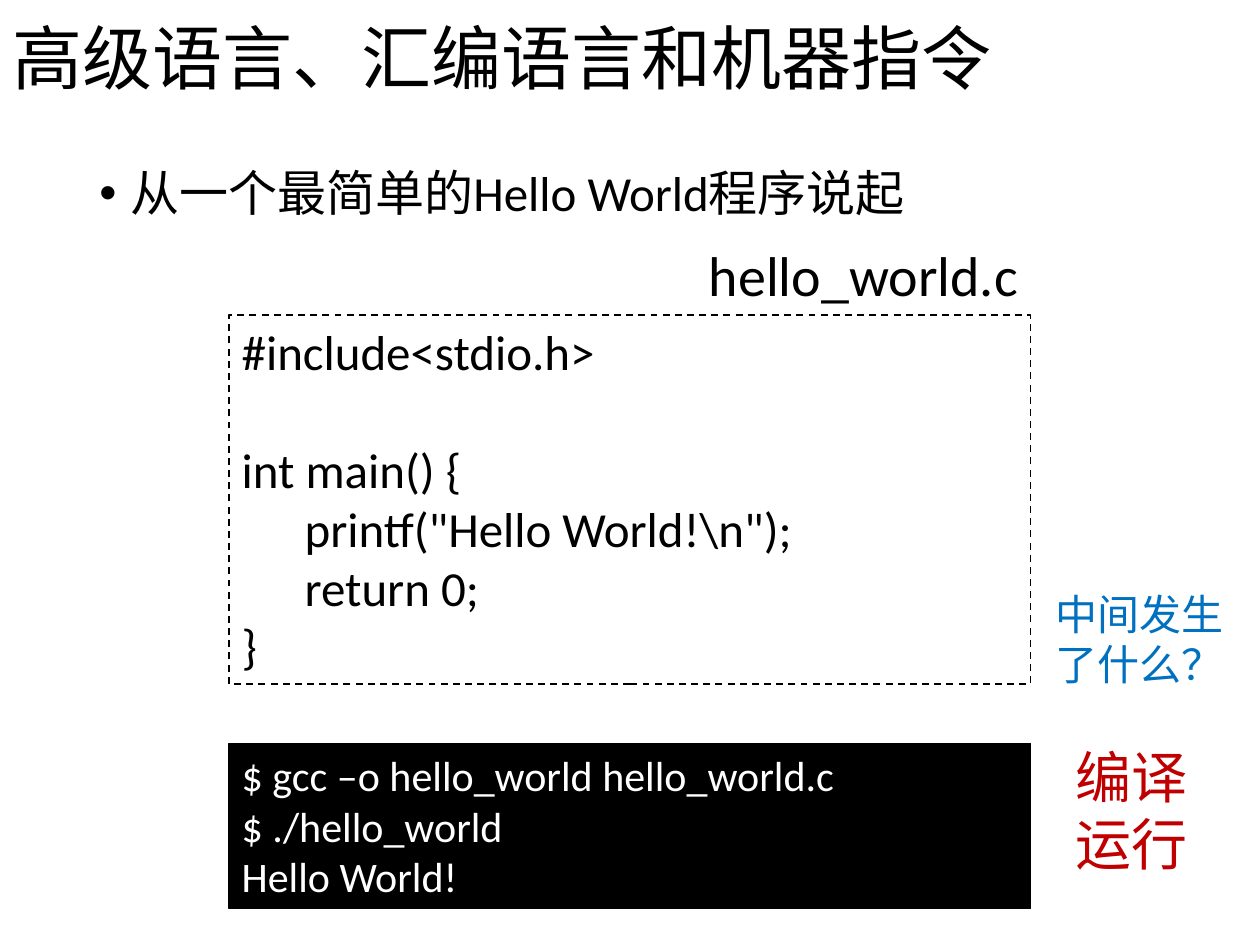
from lxml.etree import SubElement
from pptx import Presentation
from pptx.dml.color import RGBColor
from pptx.enum.dml import MSO_LINE
from pptx.enum.lang import MSO_LANGUAGE_ID
from pptx.enum.shapes import MSO_SHAPE
from pptx.enum.text import MSO_ANCHOR, PP_ALIGN
from pptx.oxml.ns import qn
from pptx.util import Inches, Pt

BLACK = RGBColor(0x00, 0x00, 0x00)
WHITE = RGBColor(0xFF, 0xFF, 0xFF)
RED = RGBColor(0xC0, 0x00, 0x00)
BLUE = RGBColor(0x00, 0x70, 0xC0)
LATIN = "Calibri"
CJK = "Noto Sans CJK SC"


def write(sp, lines, size, color=BLACK, font=LATIN, align=PP_ALIGN.LEFT,
          anchor=MSO_ANCHOR.TOP, wrap=True):
    tf = sp.text_frame
    tf.word_wrap = wrap
    tf.vertical_anchor = anchor
    for i, line in enumerate(lines):
        p = tf.add_paragraph() if i else tf.paragraphs[0]
        p.alignment = align
        r = p.add_run()
        r.text = line
        r.font.size = Pt(size)
        r.font.name = font
        r.font.color.rgb = color
        if not line.isascii():
            r.font.language_id = MSO_LANGUAGE_ID.SIMPLIFIED_CHINESE
    return tf.paragraphs


def add_text(s, box, lines, size, **style):
    sp = s.shapes.add_textbox(*map(Inches, box))
    return write(sp, lines, size, **style)


def add_panel(s, box, lines, size, fill, color, dash=None):
    sp = s.shapes.add_shape(MSO_SHAPE.RECTANGLE, *map(Inches, box))
    sp.shadow.inherit = False
    sp.fill.solid()
    sp.fill.fore_color.rgb = fill
    sp.line.color.rgb = BLACK
    sp.line.width = Pt(1)
    if dash:
        sp.line.dash_style = dash
    return write(sp, lines, size, color=color)


def add_heading(s, left, top, width):
    # Title
    title = add_text(s, (left, top, width, 0.98), ["高级语言、汇编语言和机器指令"],
                     40, font=CJK, anchor=MSO_ANCHOR.MIDDLE)[0]
    title.line_spacing = 0.9
    SubElement(title.runs[0].font._element, qn("a:ea"), typeface=CJK)

    # Bullet
    p = add_text(s, (left + 0.69, top + 1.29, width - 1.38, 1.12),
                 ["从一个最简单的Hello World程序说起"], 28)[0]
    p.line_spacing = 0.9
    p.space_before = Pt(10)
    pPr = p._p.get_or_add_pPr()
    pPr.set("marL", str(Inches(0.25)))
    pPr.set("indent", str(Inches(-0.25)))
    SubElement(pPr, qn("a:buFont"), typeface="Arial")
    SubElement(pPr, qn("a:buChar"), char="•")


def add_source_code(s, left, top, width):
    # File name, right-aligned above the listing
    add_text(s, (left + width - 4.22, top - 0.64, 4.22, 0.64),
             ["hello_world.c"], 32, align=PP_ALIGN.RIGHT)
    code = add_panel(s, (left, top, width, 2.93), [
        "#include<stdio.h>",
        "int main() {",
        '\tprintf("Hello World!\\n");',
        "\treturn 0;",
        "}",
    ], 28, WHITE, BLACK, MSO_LINE.DASH)
    code[1].space_before = Pt(34)

    # Question beside the listing
    add_text(s, (left + width + 0.1, top + 2.12, 1.72, 0.91),
             ["中间发生了什么？"], 24, color=BLUE)


def add_terminal(s, left, top, width):
    add_panel(s, (left, top, width, 1.31), [
        "$ gcc –o hello_world hello_world.c",
        "$ ./hello_world",
        "Hello World!",
    ], 24, BLACK, WHITE)

    # Labels for the two commands
    add_text(s, (left + width + 0.26, top - 0.06, 1.1, 1.18),
             ["编译", "运行"], 32, color=RED, wrap=False)


prs = Presentation()
prs.slide_width, prs.slide_height = Inches(10), Inches(7.5)
s = prs.slides.add_slide(prs.slide_layouts[6])
add_heading(s, 0, 0, 10)
add_source_code(s, 1.82, 2.5, 6.36)
add_terminal(s, 1.82, 5.9, 6.36)
prs.save("out.pptx")
